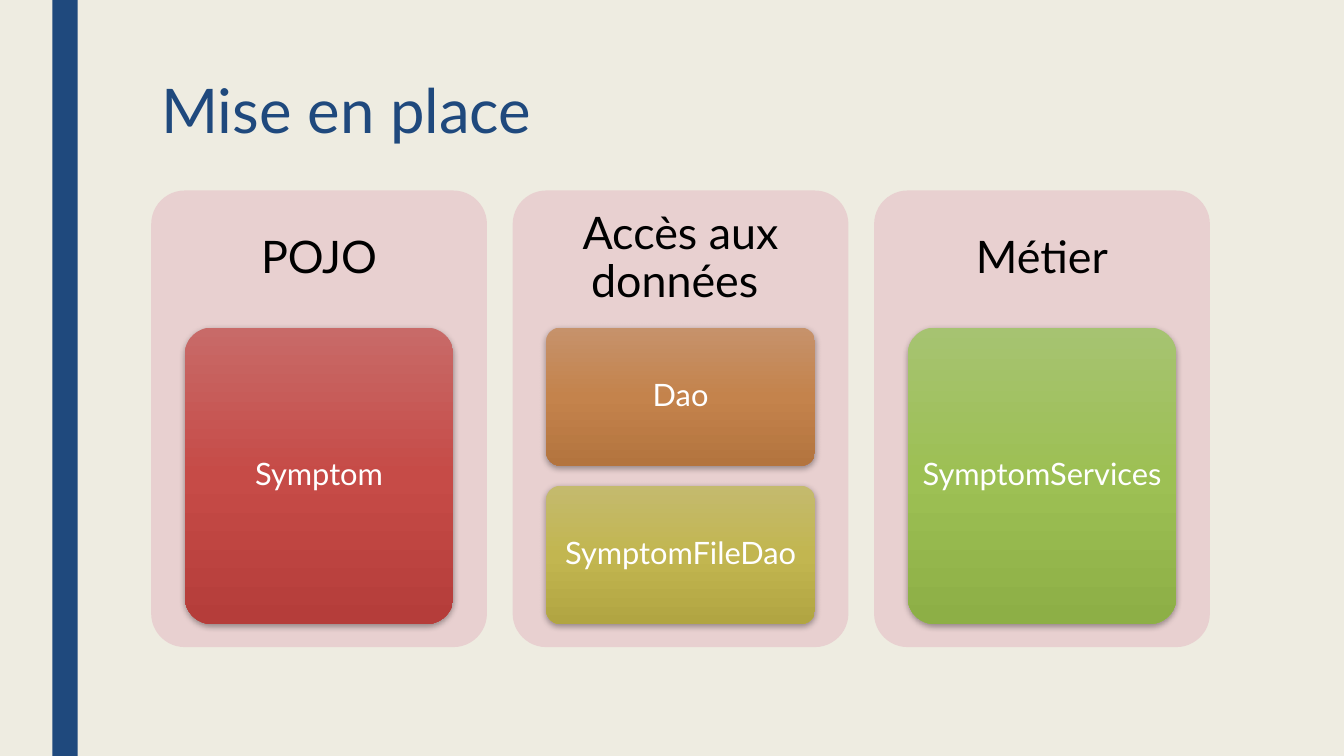
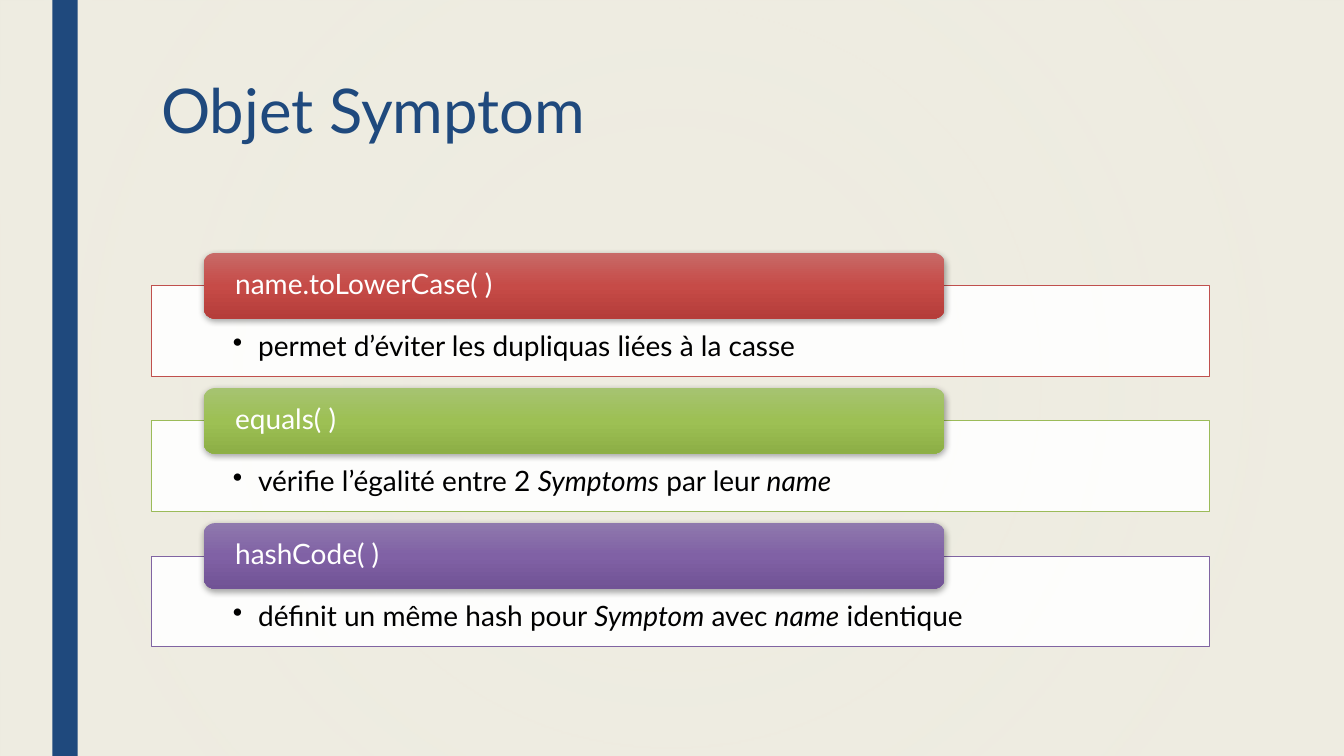
from dataclasses import dataclass

from pptx import Presentation
from pptx import util as u
from pptx.dml.color import RGBColor
from pptx.enum import shapes, text
from pptx.oxml import parse_xml
from pptx.oxml.ns import nsdecls, qn

ROLES_TITLE = "Mise en place"
ROLES = [
    ("POJO", [("Symptom", "red")]),
    ("Accès aux données ", [("Dao", "orange"), ("SymptomFileDao", "yellow")]),
    ("Métier", [("SymptomServices", "green")]),
]
METHODS_TITLE = "Objet Symptom"
# Asterisks enclose italic words.
METHODS = [
    ("name.toLowerCase( )", "permet d’éviter les dupliquas liées à la casse", "red"),
    ("equals( )", "vérifie l’égalité entre 2 *Symptoms* par leur *name*", "green"),
    ("hashCode( )", "définit un même hash pour *Symptom* avec *name* identique", "purple"),
]


@dataclass(frozen=True)
class Theme:
    """Colours, font and type sizes of the deck."""
    font: str = "Lato"
    paper: str = "EEECE1"
    navy: str = "1F497D"
    panel: str = "E8D0D0"
    white: str = "FFFFFF"
    black: str = "000000"
    title: int = 44
    heading: int = 32
    tile: int = 22
    body: int = 20


T = Theme()
GRADIENTS = {
    "red": ("C86A68", "C64B47", "B53D3A"),
    "orange": ("C6926B", "C4834C", "B3743E"),
    "yellow": ("C4BA6E", "C2B650", "B1A542"),
    "green": ("A6C371", "9DC054", "8DAF46"),
    "purple": ("8F79AD", "8061A5", "715395"),
}
OUTLINES = {"red": "C0504D", "green": "9BBB59", "purple": "8064A2"}

SLIDE_W, SLIDE_H = 13.33, 7.5
LEFT, WIDTH = 1.5, 10.5
LINEAR = '<a:lin ang="5400000" scaled="0"/>'
RADIAL = '<a:path path="circle"><a:fillToRect l="50000" t="50000" r="50000" b="50000"/></a:path>'


def write(frame, content, *, size, color, align=text.PP_ALIGN.LEFT,
          anchor=text.MSO_ANCHOR.TOP, insets=(0.1, 0.05, 0.1, 0.05),
          spacing=0.9, bullet=False):
    """Fill a text frame with one paragraph; *words* become italic."""
    frame.word_wrap = True
    frame.vertical_anchor = anchor
    (frame.margin_left, frame.margin_top,
     frame.margin_right, frame.margin_bottom) = map(u.Inches, insets)
    paragraph = frame.paragraphs[0]
    paragraph.alignment = align
    paragraph.line_spacing = spacing
    if bullet:
        props = paragraph._p.get_or_add_pPr()
        props.set("marL", str(u.Inches(0.25)))
        props.set("indent", str(-u.Inches(0.25)))
        props.append(parse_xml(f'<a:buChar {nsdecls("a")} char="•"/>'))
    for index, part in enumerate(content.split("*")):
        if part:
            run = paragraph.add_run()
            run.text = part
            run.font.name = T.font
            run.font.size = u.Pt(size)
            run.font.italic = index % 2 == 1
            run.font.color.rgb = RGBColor.from_string(color)


def add_label(slide, box, content, **style):
    """Add a text box holding one paragraph."""
    label = slide.shapes.add_textbox(*map(u.Inches, box))
    write(label.text_frame, content, **style)


def add_block(slide, box, color, *, rounding=None, outline=None):
    """Add a flat rectangle, rounded when a rounding is given."""
    preset = shapes.MSO_SHAPE.RECTANGLE if rounding is None else shapes.MSO_SHAPE.ROUNDED_RECTANGLE
    block = slide.shapes.add_shape(preset, *map(u.Inches, box))
    if rounding is not None:
        block.adjustments[0] = rounding
    block.shadow.inherit = False
    block.fill.solid()
    block.fill.fore_color.rgb = RGBColor.from_string(color)
    if outline:
        block.line.color.rgb = RGBColor.from_string(outline)
        block.line.width = u.Pt(0.5)
    else:
        block.line.fill.background()
    return block


def set_gradient(block, stops, direction):
    """Replace the solid fill by (position, colour, opacity) stops."""
    marks = "".join(
        f'<a:gs pos="{pos * 1000}"><a:srgbClr val="{color}">'
        f'<a:alpha val="{opacity * 1000}"/></a:srgbClr></a:gs>'
        for pos, color, opacity in stops)
    props = block._element.spPr
    props.replace(props.find(qn("a:solidFill")), parse_xml(
        f'<a:gradFill {nsdecls("a")} rotWithShape="1">'
        f'<a:gsLst>{marks}</a:gsLst>{direction}</a:gradFill>'))


def add_glossy(slide, box, content, hue, *, rounding, **style):
    """Add a rounded button with a gradient, a soft shadow and white text."""
    button = add_block(slide, box, T.white, rounding=rounding)
    set_gradient(button, [(pos, color, 100) for pos, color in zip((0, 50, 100), GRADIENTS[hue])],
                 LINEAR)
    button._element.spPr.find(qn("a:effectLst")).append(parse_xml(
        f'<a:outerShdw {nsdecls("a")} blurRad="{u.Pt(4.5)}" dist="{u.Pt(1.5)}" '
        f'dir="5400000" rotWithShape="0"><a:srgbClr val="{T.black}">'
        '<a:alpha val="35000"/></a:srgbClr></a:outerShdw>'))
    write(button.text_frame, content, color=T.white, anchor=text.MSO_ANCHOR.MIDDLE, **style)


def add_titled_slide(deck, title, halo=False):
    """Add a slide with the side band and title, over an optional halo."""
    slide = deck.slides.add_slide(deck.slide_layouts[6])
    slide.background.fill.solid()
    slide.background.fill.fore_color.rgb = RGBColor.from_string(T.paper)
    if halo:
        glow = add_block(slide, (0, 0, SLIDE_W, SLIDE_H), T.paper)
        set_gradient(glow, [(30, T.paper, 75), (100, T.paper, 100)], RADIAL)
    add_block(slide, (0.52, 0, 0.25, SLIDE_H), T.navy)
    add_label(slide, (LEFT, 0.75, WIDTH, 1.62), title,
              size=T.title, color=T.navy, spacing=0.89)
    return slide


def build_roles(deck):
    """Draw one panel per role, with its classes stacked inside."""
    slide = add_titled_slide(deck, ROLES_TITLE)
    top, panel_w, panel_h, heading_h = 1.89, 3.33, 4.53, 1.36
    pitch = (WIDTH - panel_w) / (len(ROLES) - 1)
    tile_w, stack_h, gap = panel_w * 0.8, 2.94, 0.2
    for column, (heading, classes) in enumerate(ROLES):
        left = LEFT + column * pitch
        add_block(slide, (left, top, panel_w, panel_h), T.panel, rounding=0.1)
        add_label(slide, (left, top, panel_w, heading_h), heading,
                  size=T.heading, color=T.black, align=text.PP_ALIGN.CENTER,
                  anchor=text.MSO_ANCHOR.MIDDLE, insets=(0.13,) * 4)
        tile_h = (stack_h + gap) / len(classes) - gap
        for row, (name, hue) in enumerate(classes):
            box = (left + (panel_w - tile_w) / 2,
                   top + heading_h + row * (tile_h + gap), tile_w, tile_h)
            add_glossy(slide, box, name, hue, rounding=0.1, size=T.tile,
                       align=text.PP_ALIGN.CENTER, insets=(0.06, 0.05, 0.06, 0.05))


def build_methods(deck):
    """Draw one outlined row per method, with its name on a tab."""
    slide = add_titled_slide(deck, METHODS_TITLE, halo=True)
    top, pitch, tab_h = 2.51, 1.34, 0.65
    for row, (method, purpose, hue) in enumerate(METHODS):
        tab_top = top + row * pitch
        card = add_block(slide, (LEFT, tab_top + tab_h / 2, WIDTH, 0.9), T.white,
                         outline=OUTLINES[hue])
        white = card._element.spPr.find(qn("a:solidFill"))[0]
        white.append(parse_xml(f'<a:alpha {nsdecls("a")} val="90000"/>'))
        write(card.text_frame, purpose, size=T.body, color=T.black,
              insets=(0.81, 0.46, 0.81, 0.16), bullet=True)
        add_glossy(slide, (LEFT + 0.52, tab_top, WIDTH * 0.7, tab_h), method, hue,
                   rounding=0.17, size=T.body, insets=(0.28, 0, 0.28, 0))


deck = Presentation()
deck.slide_width, deck.slide_height = u.Inches(SLIDE_W), u.Inches(SLIDE_H)
build_roles(deck)
build_methods(deck)
deck.save("out.pptx")
